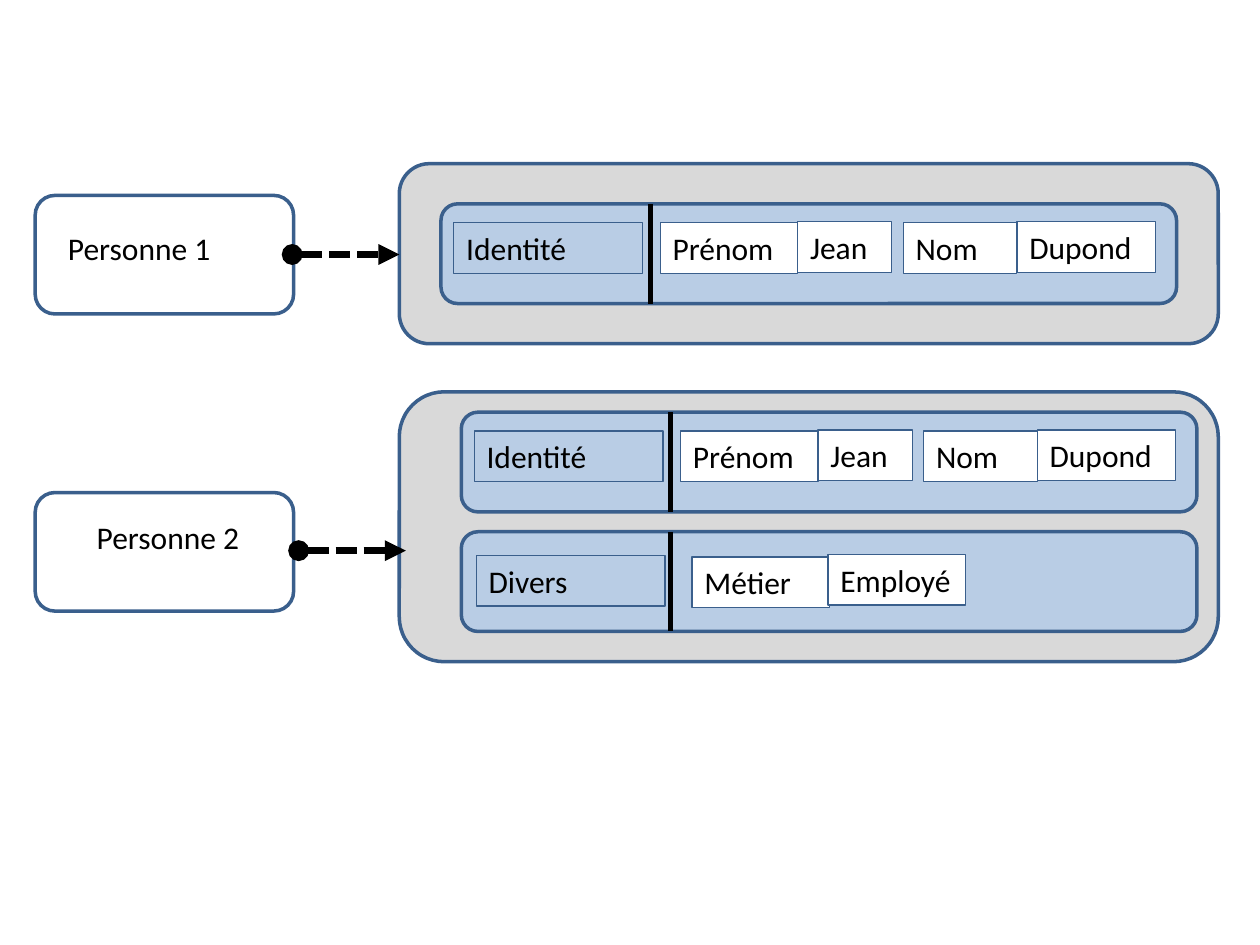
from dataclasses import dataclass

from lxml.etree import SubElement
from pptx import Presentation
from pptx.dml.color import RGBColor
from pptx.enum.dml import MSO_LINE
from pptx.enum.shapes import MSO_CONNECTOR, MSO_SHAPE
from pptx.enum.text import MSO_ANCHOR, MSO_AUTO_SIZE, PP_ALIGN
from pptx.oxml.ns import qn
from pptx.shapes.autoshape import Shape
from pptx.shapes.connector import Connector
from pptx.util import Cm, Pt


@dataclass(frozen=True)
class Theme:
    font: str = "Calibri"
    text_size: float = 18
    text: RGBColor = RGBColor(0, 0, 0)
    outline: RGBColor = RGBColor(0x3A, 0x5F, 0x8C)
    panel: RGBColor = RGBColor(0xD9, 0xD9, 0xD9)
    family: RGBColor = RGBColor(0xB9, 0xCD, 0xE5)
    cell: RGBColor = RGBColor(0xFF, 0xFF, 0xFF)
    frame_width: float = 2
    cell_width: float = 0.75
    divider_width: float = 3
    arrow_width: float = 4


@dataclass(frozen=True)
class Cell:
    """A labelled cell, placed relative to its family; all lengths in cm."""
    text: str
    left: float
    top: float
    width: float
    filled: bool = True


@dataclass(frozen=True)
class Family:
    left: float
    top: float
    cells: tuple[Cell, ...]


@dataclass(frozen=True)
class Person:
    name: str
    key_top: float
    name_left: float
    name_top: float
    name_width: float
    panel_top: float
    panel_height: float
    arrow_left: float
    arrow_top: float
    families: tuple[Family, ...]


THEME = Theme()
KEY_LEFT, KEY_WIDTH, KEY_HEIGHT = 0.71, 5.21, 2.39
PANEL_LEFT, PANEL_WIDTH = 8.05, 16.51
FAMILY_WIDTH, FAMILY_HEIGHT = 14.83, 2.01
DIVIDER_OFFSET, ARROW_LENGTH, CELL_HEIGHT = 4.22, 2.16, 1.02

IDENTITY = (
    Cell("Identité", 0.26, 0.38, 3.81, filled=False),
    Cell("Prénom", 4.42, 0.38, 2.77),
    Cell("Jean", 7.19, 0.36, 1.9),
    Cell("Nom", 9.32, 0.38, 2.29),
    Cell("Dupond", 11.61, 0.36, 2.79),
)
MISCELLANEOUS = (
    Cell("Divers", 0.3, 0.48, 3.81, filled=False),
    Cell("Métier", 4.65, 0.51, 2.77),
    Cell("Employé", 7.39, 0.46, 2.77),
)
PEOPLE = (
    Person("Personne 1", 3.94, 1.12, 4.5, 3.99, 3.3, 3.63, 5.89, 5.13,
           (Family(8.89, 4.11, IDENTITY),)),
    Person("Personne 2", 9.93, 1.7, 10.31, 4.19, 7.9, 5.44, 6.02, 11.1,
           (Family(9.3, 8.31, IDENTITY), Family(9.3, 10.72, MISCELLANEOUS))),
)

presentation = Presentation()
presentation.slide_width, presentation.slide_height = Cm(25.4), Cm(19.05)
slide = presentation.slides.add_slide(presentation.slide_layouts[6])


def add_box(kind: MSO_SHAPE, left: float, top: float, width: float, height: float,
            fill: RGBColor | None, line_width: float) -> Shape:
    shape = slide.shapes.add_shape(kind, Cm(left), Cm(top), Cm(width), Cm(height))
    shape.shadow.inherit = False
    if fill is None:
        shape.fill.background()
    else:
        shape.fill.solid()
        shape.fill.fore_color.rgb = fill
    shape.line.color.rgb = THEME.outline
    shape.line.width = Pt(line_width)
    return shape


def set_text(shape: Shape, text: str) -> None:
    text_frame = shape.text_frame
    text_frame.text = text
    text_frame.word_wrap = True
    text_frame.auto_size = MSO_AUTO_SIZE.SHAPE_TO_FIT_TEXT
    text_frame.vertical_anchor = MSO_ANCHOR.TOP
    paragraph = text_frame.paragraphs[0]
    paragraph.alignment = PP_ALIGN.LEFT
    font = paragraph.runs[0].font
    font.name, font.size = THEME.font, Pt(THEME.text_size)
    font.color.rgb = THEME.text


def add_line(left: float, top: float, right: float, bottom: float, width: float) -> Connector:
    connector = slide.shapes.add_connector(
        MSO_CONNECTOR.STRAIGHT, Cm(left), Cm(top), Cm(right), Cm(bottom))
    connector.line.color.rgb = THEME.text
    connector.line.width = Pt(width)
    SubElement(connector.element.spPr, qn("a:effectLst"))
    return connector


def add_arrow(left: float, top: float) -> None:
    arrow = add_line(left, top, left + ARROW_LENGTH, top, THEME.arrow_width)
    arrow.line.dash_style = MSO_LINE.SQUARE_DOT
    line = arrow.element.spPr.find(qn("a:ln"))
    line.find(qn("a:prstDash")).set("val", "sysDash")
    SubElement(line, qn("a:headEnd"), type="oval")
    SubElement(line, qn("a:tailEnd"), type="triangle")


def add_family(family: Family) -> None:
    add_box(MSO_SHAPE.ROUNDED_RECTANGLE, family.left, family.top,
            FAMILY_WIDTH, FAMILY_HEIGHT, THEME.family, THEME.frame_width)
    for cell in family.cells:
        shape = add_box(MSO_SHAPE.RECTANGLE, family.left + cell.left, family.top + cell.top,
                        cell.width, CELL_HEIGHT, THEME.cell if cell.filled else None,
                        THEME.cell_width)
        set_text(shape, cell.text)
    divider = family.left + DIVIDER_OFFSET
    add_line(divider, family.top, divider, family.top + FAMILY_HEIGHT, THEME.divider_width)


def add_person(person: Person) -> None:
    # Grey panel with its column families
    add_box(MSO_SHAPE.ROUNDED_RECTANGLE, PANEL_LEFT, person.panel_top,
            PANEL_WIDTH, person.panel_height, THEME.panel, THEME.frame_width)
    for family in person.families:
        add_family(family)

    # Row key and its name
    add_box(MSO_SHAPE.ROUNDED_RECTANGLE, KEY_LEFT, person.key_top,
            KEY_WIDTH, KEY_HEIGHT, None, THEME.frame_width)
    name = slide.shapes.add_textbox(Cm(person.name_left), Cm(person.name_top),
                                    Cm(person.name_width), Cm(CELL_HEIGHT))
    set_text(name, person.name)

    # Arrow from the key to the panel
    add_arrow(person.arrow_left, person.arrow_top)


for person in PEOPLE:
    add_person(person)

presentation.save("out.pptx")
